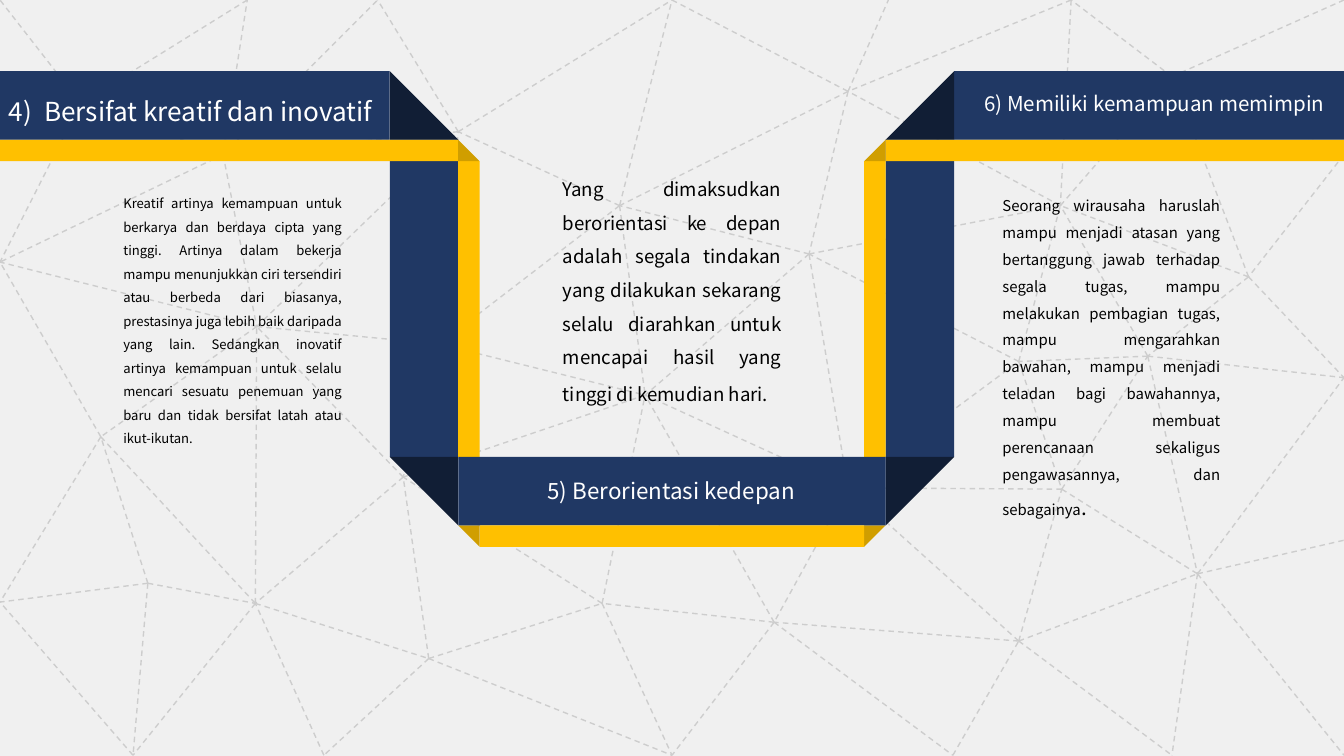
from lxml.etree import SubElement
from pptx import Presentation
from pptx.dml.color import RGBColor
from pptx.enum.dml import MSO_LINE
from pptx.enum.shapes import MSO_CONNECTOR, MSO_SHAPE
from pptx.enum.text import MSO_AUTO_SIZE, PP_ALIGN
from pptx.oxml.ns import qn
from pptx.util import Emu, Pt

SCALE = 9144
WIDE = 1000
NAVY, DARK, GOLD, OCHRE = "203864", "111E35", "FFC000", "D09E00"
BAND, TRIM = 51, 16
LEFT, TOP, BASE = 290, 53, 340
INNER, EDGE = LEFT + BAND, LEFT + BAND + TRIM
FOLD = TOP + BAND

NODES = {
    "a": (166, 115), "b": (184, 0), "c": (0, 195), "d": (281, 0),
    "e": (341, 98), "f": (191, 243), "g": (327, 256), "h": (300, 355),
    "i": (190, 449), "j": (75, 325), "k": (0, 448), "l": (110, 434),
    "m": (99, 562), "n": (319, 490), "o": (241, 562), "p": (448, 449),
    "q": (500, 562), "r": (480, 294), "s": (461, 153), "t": (500, 0),
    "u": (631, 68), "v": (602, 189), "w": (631, 363), "x": (576, 463),
    "y": (661, 0), "z": (789, 153), "A": (758, 269), "B": (790, 364),
    "C": (758, 477), "D": (709, 562), "E": (872, 562), "F": (854, 265),
    "G": (872, 57), "H": (797, 0), "I": (1000, 0), "J": (1000, 115),
    "K": (929, 206), "L": (1000, 281), "M": (891, 427), "N": (1000, 562),
    "O": (1000, 402), "P": (60, 77), "Q": (0, 0),
}
EDGES = (
    "ab ac ad ea af fe fc fg gh hf hi if fj ji jc jk lk im mk in nh no oi "
    "np nq pq ph pr rh gr ge gs sr se ed et st tu us uv vs vr rw wv wx xp "
    "xq uy zu zv wA Az AB Bw Cw xD DC Cx CB CE Fz zG GH GI GJ JK KG Kz KF "
    "KL BM ML MN ME Av BF FL FA FM Hz xr lj li lm CM MO bP Pa Pc PQ Hu"
)

TITLES = [
    ((-52, 63, 393, 36), "4)  Bersifat kreatif dan inovatif", 14, " ", 16),
    ((388, 350, 227, 29), "5) Berorientasi kedepan ", 12, "", 12),
    ((704, 63, 310, 28), "6) Memiliki kemampuan memimpin", 11, "", 11),
]
BODIES = [
    ((82, 135, 182, 193),
     "Kreatif artinya kemampuan untuk berkarya dan berdaya cipta yang tinggi. "
     "Artinya dalam bekerja mampu menunjukkan ciri tersendiri atau berbeda dari "
     "biasanya, prestasinya juga lebih baik daripada yang lain. Sedangkan "
     "inovatif artinya kemampuan untuk selalu mencari sesuatu penemuan yang baru "
     "dan tidak bersifat latah atau ikut-ikutan.", 7, "", 7),
    ((736, 135, 182, 213),
     "Seorang wirausaha haruslah mampu menjadi atasan yang bertanggung jawab "
     "terhadap segala tugas, mampu melakukan pembagian tugas, mampu mengarahkan "
     "bawahan, mampu menjadi teladan bagi bawahannya, mampu membuat perencanaan "
     "sekaligus pengawasannya, dan sebagainya", 8, ". ", 11),
    ((409, 119, 182, 175),
     "Yang dimaksudkan berorientasi ke depan adalah segala tindakan yang "
     "dilakukan sekarang selalu diarahkan untuk mencapai hasil yang tinggi di "
     "kemudian hari.", 10, " ", 11),
]


def px(*nums):
    return [Emu(n * SCALE) for n in nums]


def tint(code):
    return RGBColor.from_string(code)


class Deck:
    """Holds the style and the current slide, and draws each kind of element."""

    font = "Noto Sans CJK SC"
    paper, mesh = "F0F0F0", "CDCDCD"

    def __init__(self):
        self.show = Presentation()
        self.show.slide_width = Emu(WIDE * SCALE)
        self.show.slide_height = Emu(WIDE * SCALE * 9 // 16)
        self.slide = self.show.slides.add_slide(self.show.slide_layouts[6])
        fill = self.slide.background.fill
        fill.solid()
        fill.fore_color.rgb = tint(self.paper)

    def dash(self, start, end):
        line = self.slide.shapes.add_connector(
            MSO_CONNECTOR.STRAIGHT, *px(*start, *end))
        line.line.color.rgb = tint(self.mesh)
        line.line.width = Pt(0.75)
        line.line.dash_style = MSO_LINE.DASH
        SubElement(line._element.spPr, qn("a:effectLst"))

    def box(self, area, color, kind=MSO_SHAPE.RECTANGLE):
        shape = self.slide.shapes.add_shape(kind, *px(*area))
        shape.shadow.inherit = False
        shape.fill.solid()
        shape.fill.fore_color.rgb = tint(color)
        shape.line.fill.background()
        return shape

    def wedge(self, x, y, size, color, across, down):
        shape = self.box((x, y, size, size), color, MSO_SHAPE.RIGHT_TRIANGLE)
        frame = shape._element.spPr.find(qn("a:xfrm"))
        if across:
            frame.set("flipH", "1")
        if down:
            frame.set("flipV", "1")

    def text(self, area, words, size, tail, big, color, align, space):
        frame = self.slide.shapes.add_textbox(*px(*area)).text_frame
        frame.word_wrap = True
        frame.auto_size = MSO_AUTO_SIZE.SHAPE_TO_FIT_TEXT
        para = frame.paragraphs[0]
        para.alignment, para.line_spacing = align, space
        para.font.name = self.font
        para.font.color.rgb = tint(color)
        for part, points in ((words, size), (tail, big)):
            if part:
                run = para.add_run()
                run.text = part
                run.font.size = Pt(points)


def main():
    deck = Deck()
    for start, end in EDGES.split():
        deck.dash(NODES[start], NODES[end])

    for right in (False, True):
        def side(x, wide):
            return WIDE - x - wide if right else x

        for x, y, wide, high, color in (
            (LEFT, FOLD, BAND, BASE - FOLD, NAVY),
            (INNER, FOLD + TRIM, TRIM, BASE - FOLD - TRIM, GOLD),
            (0, FOLD, INNER, TRIM, GOLD),
            (0, TOP, LEFT, BAND, NAVY),
        ):
            deck.box((side(x, wide), y, wide, high), color)
        for x, y, size, color, low in (
            (INNER, FOLD, TRIM, OCHRE, False),
            (LEFT, TOP, BAND, DARK, False),
            (LEFT, BASE, BAND, DARK, True),
            (INNER, BASE + BAND, TRIM, OCHRE, True),
        ):
            deck.wedge(side(x, size), y, size, color, low != right, low)

    deck.box((INNER, BASE, WIDE - 2 * INNER, BAND), NAVY)
    deck.box((EDGE, BASE + BAND, WIDE - 2 * EDGE, TRIM), GOLD)

    for title in TITLES:
        deck.text(*title, "FFFFFF", PP_ALIGN.CENTER, 1.0)
    for body in BODIES:
        deck.text(*body, "000000", PP_ALIGN.JUSTIFY, 1.5)
    deck.show.save("out.pptx")


if __name__ == "__main__":
    main()
